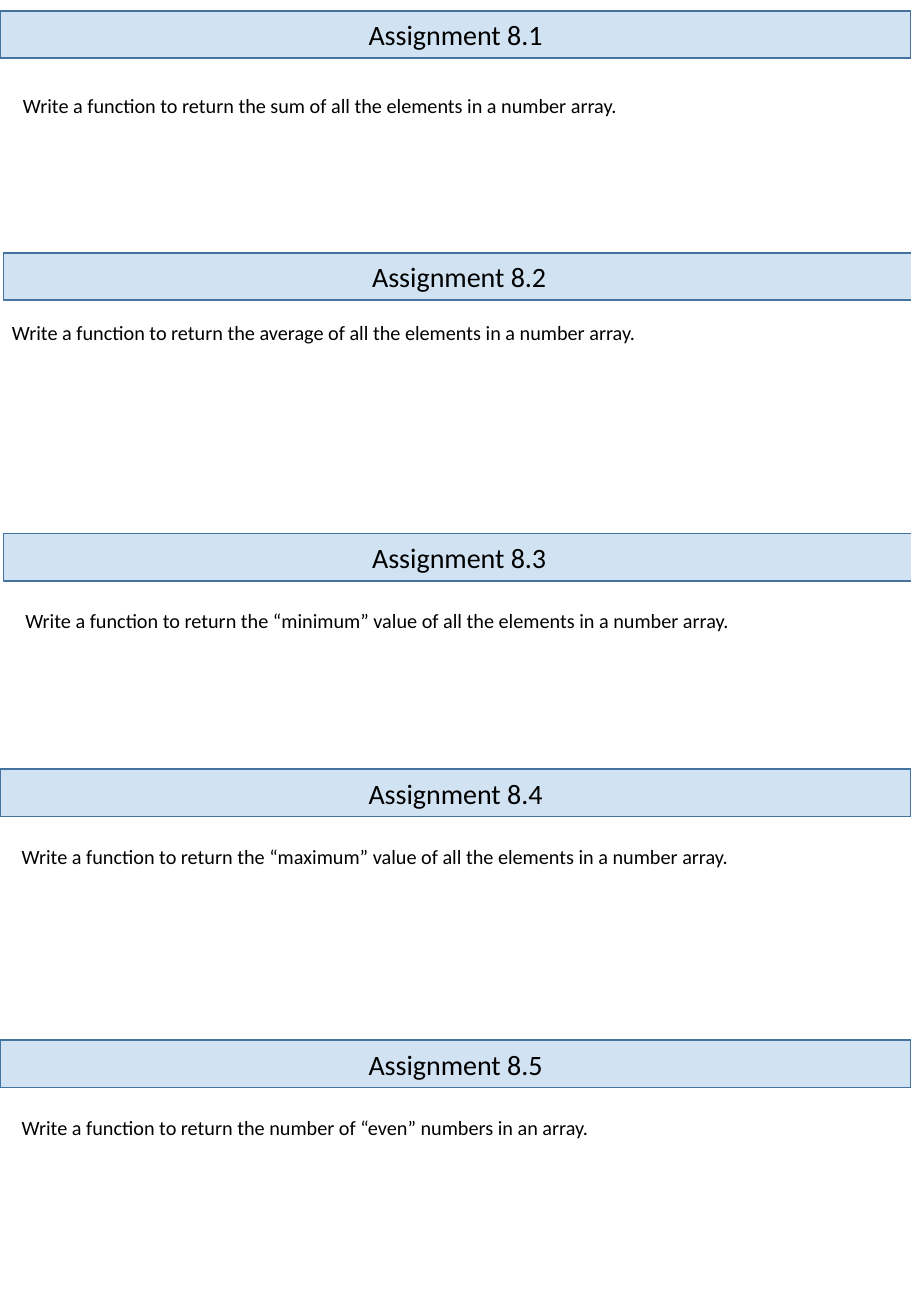
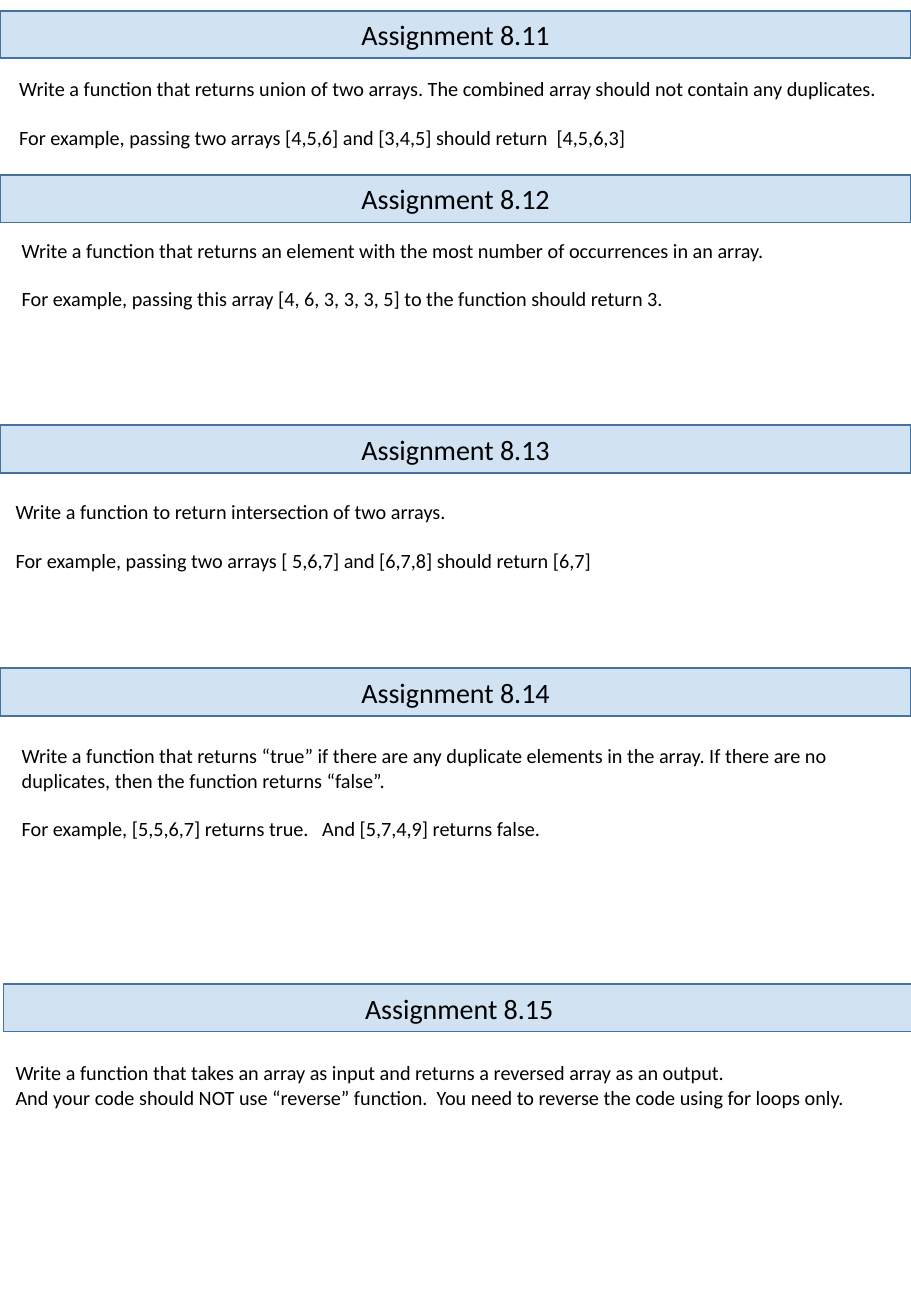
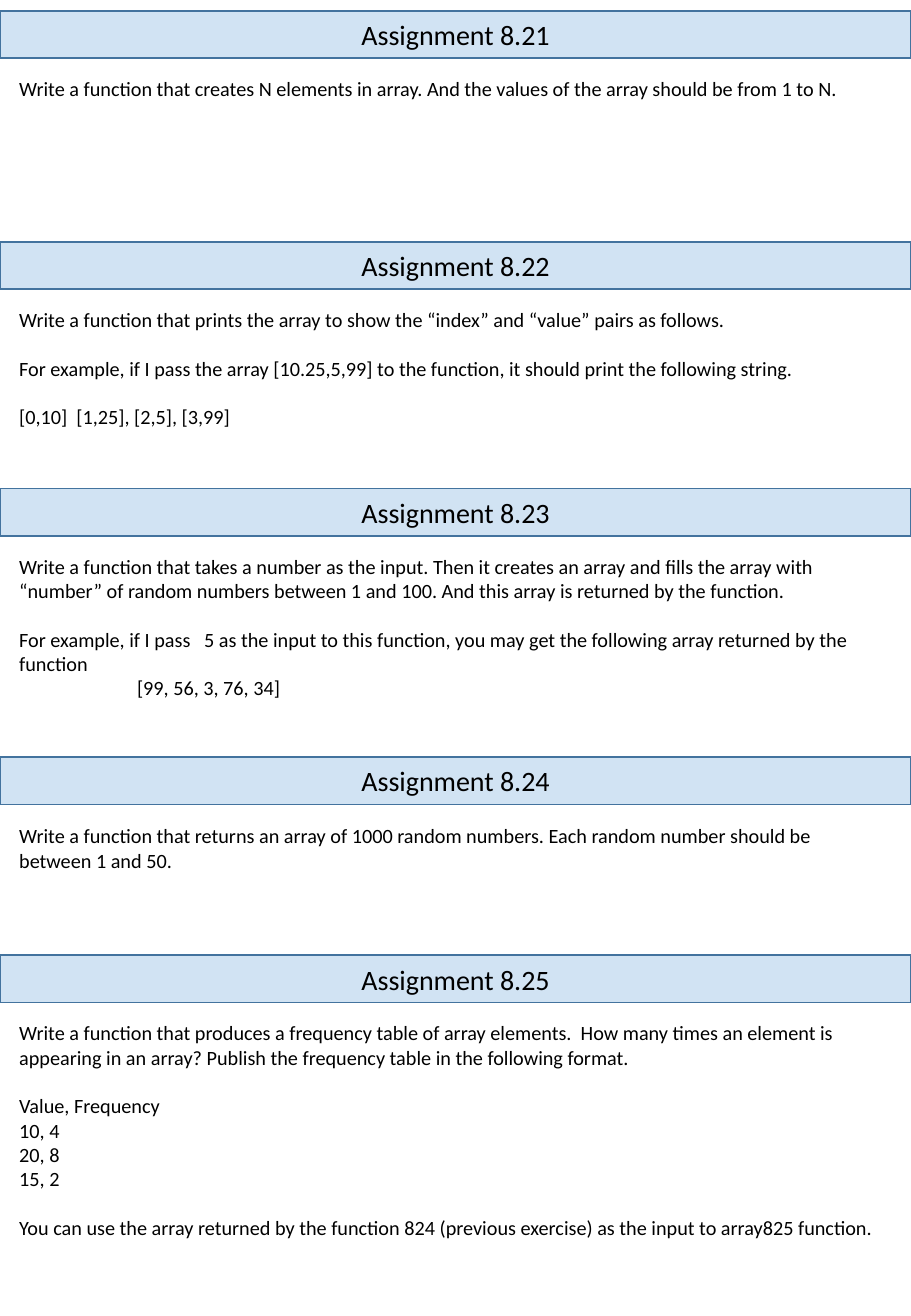
from pptx import Presentation
from pptx.dml.color import RGBColor
from pptx.enum.shapes import MSO_SHAPE as Shape
from pptx.enum.text import MSO_ANCHOR as Anchor, PP_ALIGN as Align
from pptx.oxml.ns import qn
from pptx.util import Inches, Pt
from lxml.etree import SubElement

# Shared style
FONT, INK = "Calibri", "000000"
FILL, EDGE, ALPHA = "5B9BD5", "43739E", 28000
HEAD, BODY, LEAD = 16.6, 12, 14.4

# Page grid: 750 columns by 1083 rows
COLS, ROWS, RIGHT = 750, 1083, 736
BAND, LINE, PAD = 39, 20, 10
DENT = 97

# Each task: number, band left, band top, text left, drop, lines, groups
PAGES = [
    [
        ("8.1", 0, 9, 9, 63, 2, [
            "Write a function to return the sum of all the elements in a number array."]),
        ("8.2", 3, 208, 0, 51, 2, [
            "Write a function to return the average of all the elements in a number array."]),
        ("8.3", 3, 439, 11, 57, 2, [
            "Write a function to return the “minimum” value of all the elements in a number array."]),
        ("8.4", 0, 633, 8, 57, 2, [
            "Write a function to return the “maximum” value of all the elements in a number array."]),
        ("8.5", 0, 856, 8, 57, 2, [
            "Write a function to return the number of “even” numbers in an array."]),
    ],
    [
        ("8.11", 0, 9, 6, 49, 3, [
            "Write a function that returns union of two arrays. "
            "The combined array should not contain any duplicates.",
            "For example, passing two arrays [4,5,6] and [3,4,5] should return  [4,5,6,3]"]),
        ("8.12", 0, 144, 8, 47, 4, [
            "Write a function that returns an element with the most number of occurrences in an array.",
            "For example, passing this array [4, 6, 3, 3, 3, 5] to the function should return 3."]),
        ("8.13", 0, 350, 3, 56, 4, [
            "Write a function to return intersection of two arrays.",
            "For example, passing two arrays [ 5,6,7] and [6,7,8] should return [6,7]"]),
        ("8.14", 0, 550, 8, 57, 5, [
            "Write a function that returns “true” if there are any duplicate elements in the array. "
            "If there are no duplicates, then the function returns “false”.",
            "For example, [5,5,6,7] returns true.   And [5,7,4,9] returns false."]),
        ("8.15", 3, 810, 3, 58, 4, [
            "Write a function that takes an array as input and returns a reversed array as an output.\n"
            "And your code should NOT use “reverse” function.  "
            "You need to reverse the code using for loops only."]),
    ],
    [
        ("8.21", 0, 9, 6, 49, 1, [
            "Write a function that creates N elements in array. "
            "And the values of the array should be from 1 to N."]),
        ("8.22", 0, 199, 6, 49, 6, [
            "Write a function that prints the array to show the “index” and “value” pairs as follows.",
            "For example, if I pass the array [10.25,5,99] to the function, "
            "it should print the following string.",
            "[0,10]  [1,25], [2,5], [3,99]"]),
        ("8.23", 0, 402, 6, 49, 8, [
            "Write a function that takes a number as the input. Then it creates an array and fills "
            "the array with “number” of random numbers between 1 and 100. "
            "And this array is returned by the function.",
            "For example, if I pass   5 as the input to this function, "
            "you may get the following array returned by the function\n"
            ">[99, 56, 3, 76, 34]"]),
        ("8.24", 0, 623, 6, 50, 4, [
            "Write a function that returns an array of 1000 random numbers. "
            "Each random number should be between 1 and 50."]),
        ("8.25", 0, 786, 6, 49, 11, [
            "Write a function that produces a frequency table of array elements.  "
            "How many times an element is appearing in an array? "
            "Publish the frequency table in the following format.",
            "Value, Frequency\n10, 4\n20, 8\n15, 2",
            "You can use the array returned by the function 824 (previous exercise) "
            "as the input to array825 function."]),
    ],
]


def grid(*cells):
    return [Inches(cell / 100) for cell in cells]


def color(code):
    return RGBColor.from_string(code)


def write(para, text, size):
    run = para.add_run()
    run.text = text
    run.font.name, run.font.size = FONT, Pt(size)
    run.font.color.rgb = color(INK)


# Title band
def add_band(slide, left, top, text):
    band = slide.shapes.add_shape(Shape.RECTANGLE, *grid(left, top, COLS, BAND))
    band.shadow.inherit = False
    band.fill.solid()
    band.fill.fore_color.rgb = color(FILL)
    tint = band._element.spPr.find(qn("a:solidFill")).find(qn("a:srgbClr"))
    SubElement(tint, qn("a:alpha")).set("val", str(ALPHA))
    band.line.color.rgb = color(EDGE)
    band.line.width = Pt(1)
    frame = band.text_frame
    frame.vertical_anchor = Anchor.MIDDLE
    para = frame.paragraphs[0]
    para.alignment = Align.CENTER
    write(para, text, HEAD)


# Task text: groups are set apart by one line, ">" marks an indent
def add_text(slide, left, top, lines, groups):
    box = slide.shapes.add_textbox(
        *grid(left, top, RIGHT - left, lines * LINE + PAD))
    frame = box.text_frame
    frame.word_wrap = True
    para = frame.paragraphs[0]
    for i, group in enumerate(groups):
        for j, text in enumerate(group.split("\n")):
            if i or j:
                para = frame.add_paragraph()
            if i and not j:
                para.space_before = Pt(LEAD)
            if text.startswith(">"):
                para._p.get_or_add_pPr().set("marL", str(grid(DENT)[0]))
            write(para, text.lstrip(">"), BODY)


def add_task(slide, num, left, top, inset, drop, lines, groups):
    add_band(slide, left, top, f"Assignment {num}")
    add_text(slide, inset, top + drop, lines, groups)


def main():
    deck = Presentation()
    deck.slide_width, deck.slide_height = grid(COLS, ROWS)
    for page in PAGES:
        slide = deck.slides.add_slide(deck.slide_layouts[6])
        for task in page:
            add_task(slide, *task)
    deck.save("out.pptx")


if __name__ == "__main__":
    main()
